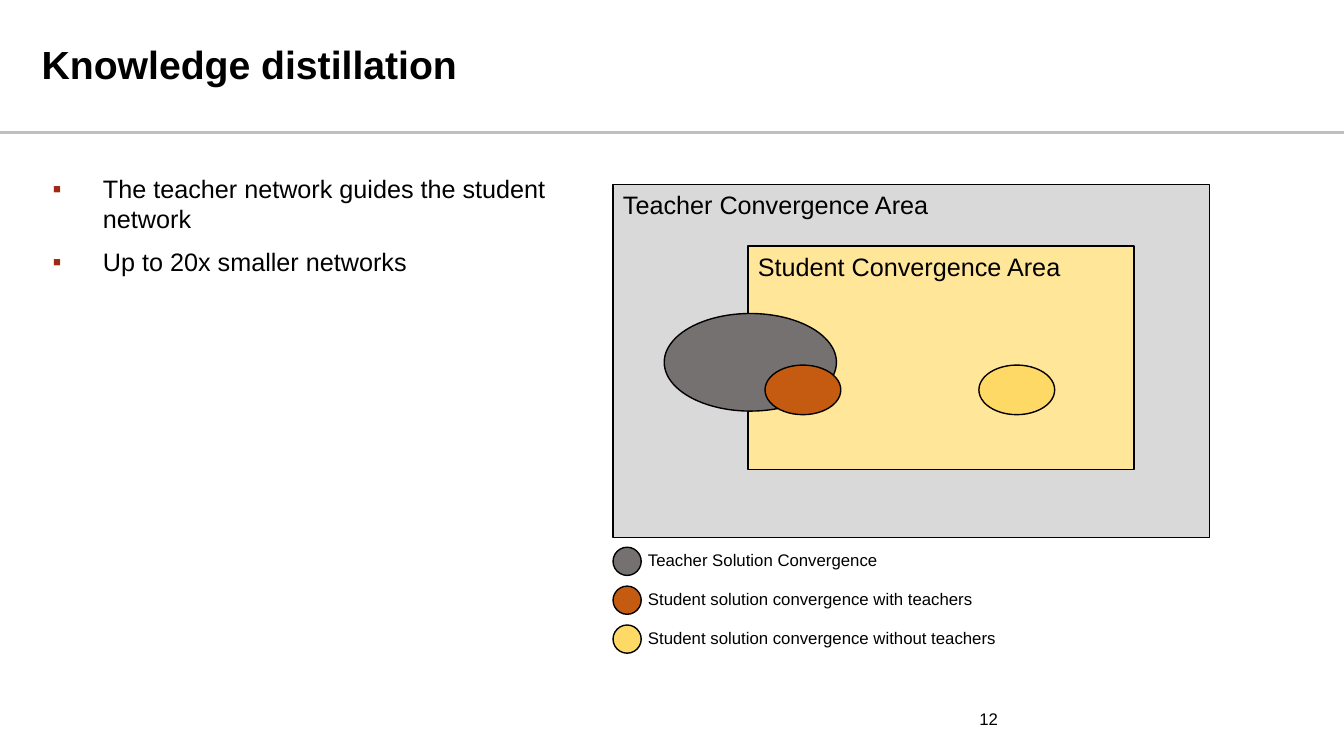
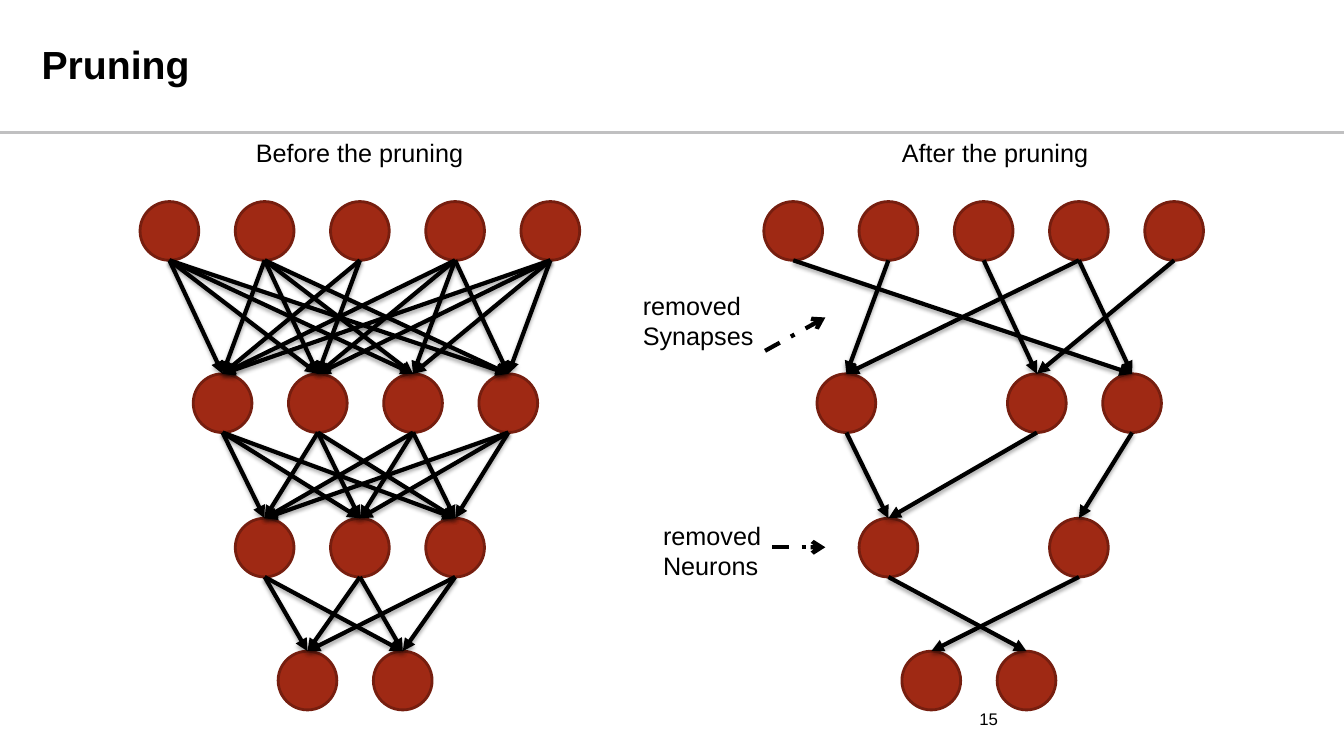
from itertools import product

from lxml import etree
from pptx import Presentation
from pptx.dml.color import RGBColor
from pptx.enum.dml import MSO_LINE
from pptx.enum.shapes import MSO_CONNECTOR, MSO_SHAPE
from pptx.enum.text import MSO_ANCHOR, MSO_AUTO_SIZE, PP_ALIGN
from pptx.oxml.ns import qn
from pptx.util import Cm, Pt

FONT = "Arial"
COLORS = {
    "text": "000000",
    "rule": "C0C0C1",
    "accent": "9F2914",
    "node_line": "761E0F",
    "teacher_area": "D9D9D9",
    "student_area": "FFE699",
    "teacher": "767171",
    "guided": "C55A11",
    "unguided": "FFD966",
}
TITLE_ONLY, TITLE_AND_BODY = 5, 1

# Node grid of the networks, in cm
NODE, STEP = 1.48, 2.4
LAYER_X = [0, 1.34, 2.4, 3.48]
LAYER_Y = [0, 4.34, 7.98, 11.33]


def rgb(name):
    return RGBColor.from_string(COLORS[name])


def place(shape, x, y, w, h):
    shape.left, shape.top, shape.width, shape.height = Cm(x), Cm(y), Cm(w), Cm(h)


def add_xml(parent, tag, **attrs):
    child = etree.SubElement(parent, qn(tag))
    for key, value in attrs.items():
        child.set(key, str(value))
    return child


def write(tf, paragraphs, size=18, bold=False, align=PP_ALIGN.LEFT,
          anchor=MSO_ANCHOR.TOP, gap=0, bullet=None, insets=None):
    """Fill a text frame; gap is the space in points between paragraphs."""
    tf.word_wrap, tf.auto_size = True, MSO_AUTO_SIZE.NONE
    tf.vertical_anchor = anchor
    if insets:
        tf.margin_left = tf.margin_right = Cm(insets[0])
        tf.margin_top = tf.margin_bottom = Cm(insets[1])
    for i, words in enumerate(paragraphs):
        p = tf.add_paragraph() if i else tf.paragraphs[0]
        p.alignment = align
        p.space_before = Pt(gap if i else 0)
        if bullet:
            pPr = p._p.get_or_add_pPr()
            pPr.set("marL", str(Cm(1.27)))
            pPr.set("indent", str(-Cm(1.27)))
            add_xml(add_xml(pPr, "a:buClr"), "a:srgbClr", val=COLORS["accent"])
            add_xml(pPr, "a:buFont", typeface=FONT)
            add_xml(pPr, "a:buChar", char=bullet)
        r = p.add_run()
        r.text = words
        r.font.name, r.font.size, r.font.bold = FONT, Pt(size), bold
        r.font.color.rgb = rgb("text")


def add_text(s, words, x, y, w, h, **fmt):
    box = s.shapes.add_textbox(Cm(x), Cm(y), Cm(w), Cm(h))
    write(box.text_frame, [words], **fmt)


def add_shape(s, kind, x, y, w, h, fill, line="text", width=1):
    sp = s.shapes.add_shape(kind, Cm(x), Cm(y), Cm(w), Cm(h))
    sp.shadow.inherit = False
    sp.fill.solid()
    sp.fill.fore_color.rgb = rgb(fill)
    sp.line.color.rgb = rgb(line)
    sp.line.width = Pt(width)
    return sp


def add_line(s, x1, y1, x2, y2, color="text", width=3, dash=None, tail=None,
             shadow=False):
    c = s.shapes.add_connector(MSO_CONNECTOR.STRAIGHT, Cm(x1), Cm(y1), Cm(x2), Cm(y2))
    c.line.color.rgb = rgb(color)
    c.line.width = Pt(width)
    if dash:
        c.line.dash_style = dash
    if tail:
        add_xml(c.line._get_or_add_ln(), "a:tailEnd", type=tail)
    effects = add_xml(c._element.spPr, "a:effectLst")
    if shadow:
        outer = add_xml(effects, "a:outerShdw", blurRad=Pt(3.1), dist=Pt(1.8),
                        dir=90 * 60000, rotWithShape=0)
        add_xml(add_xml(outer, "a:srgbClr", val=COLORS["text"]), "a:alpha", val=35000)
    return c


def new_slide(prs, layout, title, number):
    s = prs.slides.add_slide(prs.slide_layouts[layout])
    place(s.shapes.title, 0.69, 0.15, 26.8, 2.9)
    write(s.shapes.title.text_frame, [title], size=28, bold=True,
          anchor=MSO_ANCHOR.MIDDLE, insets=(0.36, 0))
    add_text(s, number, 23.5, 17.6, 1.98, 1.02, size=12, align=PP_ALIGN.RIGHT,
             anchor=MSO_ANCHOR.MIDDLE, insets=(0.33, 0.18))
    return s


def add_master_rule(prs, s):
    """Draw the line under the title and move it to the slide master."""
    rule = add_line(s, 0, 3.33, 33.87, 3.33, color="rule", width=2.25)
    prs.slide_master.shapes._spTree.append(rule._element)


def convergence_areas(s, x, y):
    areas = [("Teacher Convergence Area", "teacher_area", 0, 0, 15.04, 8.89),
             ("Student Convergence Area", "student_area", 3.4, 1.55, 9.73, 5.64)]
    for name, fill, dx, dy, w, h in areas:
        sp = add_shape(s, MSO_SHAPE.RECTANGLE, x + dx, y + dy, w, h, fill)
        write(sp.text_frame, [name])
    solutions = [("teacher", 1.29, 3.25, 4.34, 2.46),
                 ("guided", 3.83, 4.55, 1.91, 1.25),
                 ("unguided", 9.22, 4.55, 1.91, 1.25)]
    for fill, dx, dy, w, h in solutions:
        add_shape(s, MSO_SHAPE.OVAL, x + dx, y + dy, w, h, fill)


def legend(s, x, y, pitch=0.98):
    entries = [("teacher", "Teacher Solution Convergence"),
               ("guided", "Student solution convergence with teachers"),
               ("unguided", "Student solution convergence without teachers")]
    for i, (fill, label) in enumerate(entries):
        row = y + i * pitch
        add_shape(s, MSO_SHAPE.OVAL, x, row, 0.71, 0.71, fill)
        add_text(s, label, x + 0.63, row - 0.05, 9.8, 0.8, size=12)


def link(s, upper, lower):
    """Join the bottom of one node to the top of another."""
    c = add_line(s, 0, 0, 1, 1, tail="triangle", shadow=True)
    c.begin_connect(upper, 0)
    c.end_connect(lower, 0)
    # An ellipse has eight connection sites; its bottom is site 4
    c._element.find(".//" + qn("a:stCxn")).set("idx", "4")
    c.begin_y = upper.top + upper.height


def network(s, x, y, layers, links):
    """Draw nodes by column for each layer, then the links between layers."""
    nodes = [{col: add_shape(s, MSO_SHAPE.OVAL, x + dx + col * STEP, y + dy,
                             NODE, NODE, "accent", "node_line", 2)
              for col in cols}
             for cols, dx, dy in zip(layers, LAYER_X, LAYER_Y)]
    for upper, lower, pairs in zip(nodes, nodes[1:], links):
        for a, b in pairs:
            link(s, upper[a], lower[b])


def removed_note(s, words, x, y, arrow):
    add_text(s, words, x, y, 3.33, 1.8)
    x1, y1, x2, y2 = arrow
    add_line(s, x + x1, y + y1, x + x2, y + y2, dash=MSO_LINE.DASH_DOT, tail="arrow")


def distillation_slide(prs):
    s = new_slide(prs, TITLE_AND_BODY, "Knowledge distillation", "12")
    add_master_rule(prs, s)
    body = s.placeholders[1]
    place(body, 1.07, 4.24, 13.77, 2.95)
    write(body.text_frame, ["The teacher network guides the student network",
                            "Up to 20x smaller networks"], gap=9, bullet="▪")
    convergence_areas(s, 15.45, 4.65)
    legend(s, 15.45, 13.79)


def pruning_slide(prs):
    s = new_slide(prs, TITLE_ONLY, "Pruning", "15")
    layers = [range(n) for n in (5, 4, 3, 2)]
    links = [list(product(a, b)) for a, b in zip(layers, layers[1:])]
    links[0] = [pair for pair in links[0] if pair not in {(2, 2), (2, 3)}]
    network(s, 3.53, 5.08, layers, links)

    kept_layers = [range(5), (0, 2, 3), (0, 2), (0, 1)]
    kept_links = [[(0, 3), (1, 0), (2, 2), (3, 0), (3, 3), (4, 2)],
                  [(0, 0), (2, 0), (3, 2)],
                  [(0, 1), (2, 0)]]
    network(s, 19.25, 5.08, kept_layers, kept_links)

    add_text(s, "Before the pruning", 6.2, 3.33, 6, 1.02)
    add_text(s, "After the pruning", 22.48, 3.33, 6, 1.02)
    removed_note(s, "removed Synapses", 15.95, 7.19, (3.33, 1.65, 4.85, 0.81))
    removed_note(s, "removed Neurons", 16.46, 12.98, (3, 0.81, 4.34, 0.81))


def main():
    prs = Presentation()
    prs.slide_width, prs.slide_height = Cm(33.87), Cm(19.05)
    distillation_slide(prs)
    pruning_slide(prs)
    prs.save("out.pptx")


if __name__ == "__main__":
    main()
